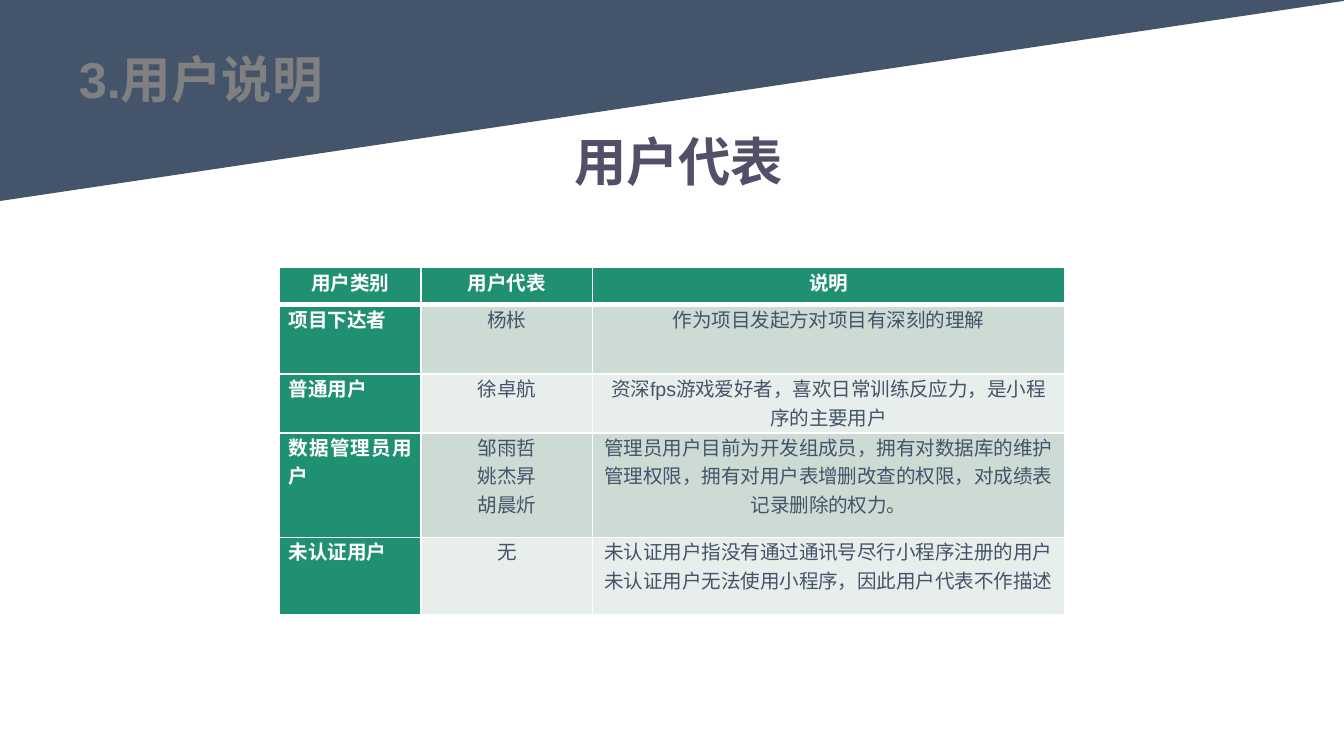
import pptx
import pptx.dml.color
import pptx.enum.shapes
import pptx.enum.text
import pptx.oxml
import pptx.oxml.ns
import pptx.util

Cm = pptx.util.Cm
Pt = pptx.util.Pt
RGBColor = pptx.dml.color.RGBColor
ALIGN = pptx.enum.text.PP_ALIGN

WHITE = RGBColor(0xFF, 0xFF, 0xFF)
SLATE = RGBColor(0x44, 0x54, 0x6A)
BODY_TEXT = RGBColor(0x44, 0x54, 0x69)
PURPLE = RGBColor(0x52, 0x50, 0x68)
GRAY = RGBColor(0x80, 0x80, 0x80)
GREEN = RGBColor(0x20, 0x90, 0x72)
BANDS = [RGBColor(0xCD, 0xDB, 0xD5), RGBColor(0xE8, 0xEE, 0xEB)]


def format_text(text_frame, size, color, bold, alignment):
    for paragraph in text_frame.paragraphs:
        paragraph.alignment = alignment
        for run in paragraph.runs:
            run.font.name = "Arial"
            run.font.size = Pt(size)
            run.font.bold = bold
            run.font.color.rgb = color


def add_cell_borders(cell, bottom_width):
    """Draw white borders; must run before the cell fill is set."""
    properties = cell._tc.get_or_add_tcPr()
    for side, width in (("L", 1), ("R", 1), ("T", 1), ("B", bottom_width)):
        properties.append(pptx.oxml.parse_xml(
            f'<a:ln{side} {pptx.oxml.ns.nsdecls("a")} w="{Pt(width)}">'
            f'<a:solidFill><a:srgbClr val="{WHITE}"/></a:solidFill></a:ln{side}>'))


presentation = pptx.Presentation()
presentation.slide_width = Cm(25.4)
presentation.slide_height = Cm(14.28)
slide = presentation.slides.add_slide(presentation.slide_layouts[6])

# Right triangle turned to lie along the top edge
band_width, band_height = Cm(25.4), Cm(3.78)
triangle = slide.shapes.add_shape(
    pptx.enum.shapes.MSO_SHAPE.ISOSCELES_TRIANGLE,
    (band_width - band_height) // 2, (band_height - band_width) // 2,
    band_height, band_width)
triangle.adjustments[0] = 0
triangle.rotation = 90
triangle.shadow.inherit = False
triangle.fill.solid()
triangle.fill.fore_color.rgb = SLATE
triangle.line.color.rgb = SLATE
triangle.line.width = Pt(1)

headings = [
    ("用户代表", 10.6, 2.31, 4.88, 1.45, 28, PURPLE, ALIGN.LEFT),
    ("3.用户说明", -1.3, 0.79, 10.19, 1.42, 27, GRAY, ALIGN.CENTER),
]
for text, left, top, width, height, size, color, alignment in headings:
    heading = slide.shapes.add_textbox(Cm(left), Cm(top), Cm(width), Cm(height))
    heading.text_frame.word_wrap = True
    heading.text_frame.auto_size = pptx.enum.text.MSO_AUTO_SIZE.SHAPE_TO_FIT_TEXT
    heading.text_frame.text = text
    format_text(heading.text_frame, size, color, True, alignment)

user_rows = [
    ("用户类别", "用户代表", "说明"),
    ("项目下达者", "杨枨", "作为项目发起方对项目有深刻的理解"),
    ("普通用户", "徐卓航", "资深fps游戏爱好者，喜欢日常训练反应力，是小程序的主要用户"),
    ("数据管理员用户", "邹雨哲\n姚杰昇\n胡晨炘",
     "管理员用户目前为开发组成员，拥有对数据库的维护管理权限，"
     "拥有对用户表增删改查的权限，对成绩表记录删除的权力。"),
    ("未认证用户", "无",
     "未认证用户指没有通过通讯号尽行小程序注册的用户\n"
     "未认证用户无法使用小程序，因此用户代表不作描述"),
]
column_widths = [2.68, 3.24, 8.92]
row_heights = [0.7, 1.32, 1.11, 1.97, 1.47]
table = slide.shapes.add_table(
    len(row_heights), len(column_widths), Cm(5.28), Cm(5.05),
    Cm(sum(column_widths)), Cm(sum(row_heights))).table
for column, width in zip(table.columns, column_widths):
    column.width = Cm(width)
for row, height in zip(table.rows, row_heights):
    row.height = Cm(height)

for row_index, texts in enumerate(user_rows):
    for column_index, text in enumerate(texts):
        is_header = row_index == 0
        is_strong = is_header or column_index == 0
        cell = table.cell(row_index, column_index)
        cell.margin_left = cell.margin_right = Cm(0.18)
        cell.margin_top = cell.margin_bottom = 0
        add_cell_borders(cell, 3 if is_header else 1)
        cell.fill.solid()
        cell.fill.fore_color.rgb = GREEN if is_strong else BANDS[(row_index - 1) % 2]
        cell.text_frame.text = text
        is_label = column_index == 0 and not is_header
        format_text(cell.text_frame, 10.5, WHITE if is_strong else BODY_TEXT, is_strong,
                    ALIGN.JUSTIFY if is_label else ALIGN.CENTER)

presentation.save("out.pptx")
